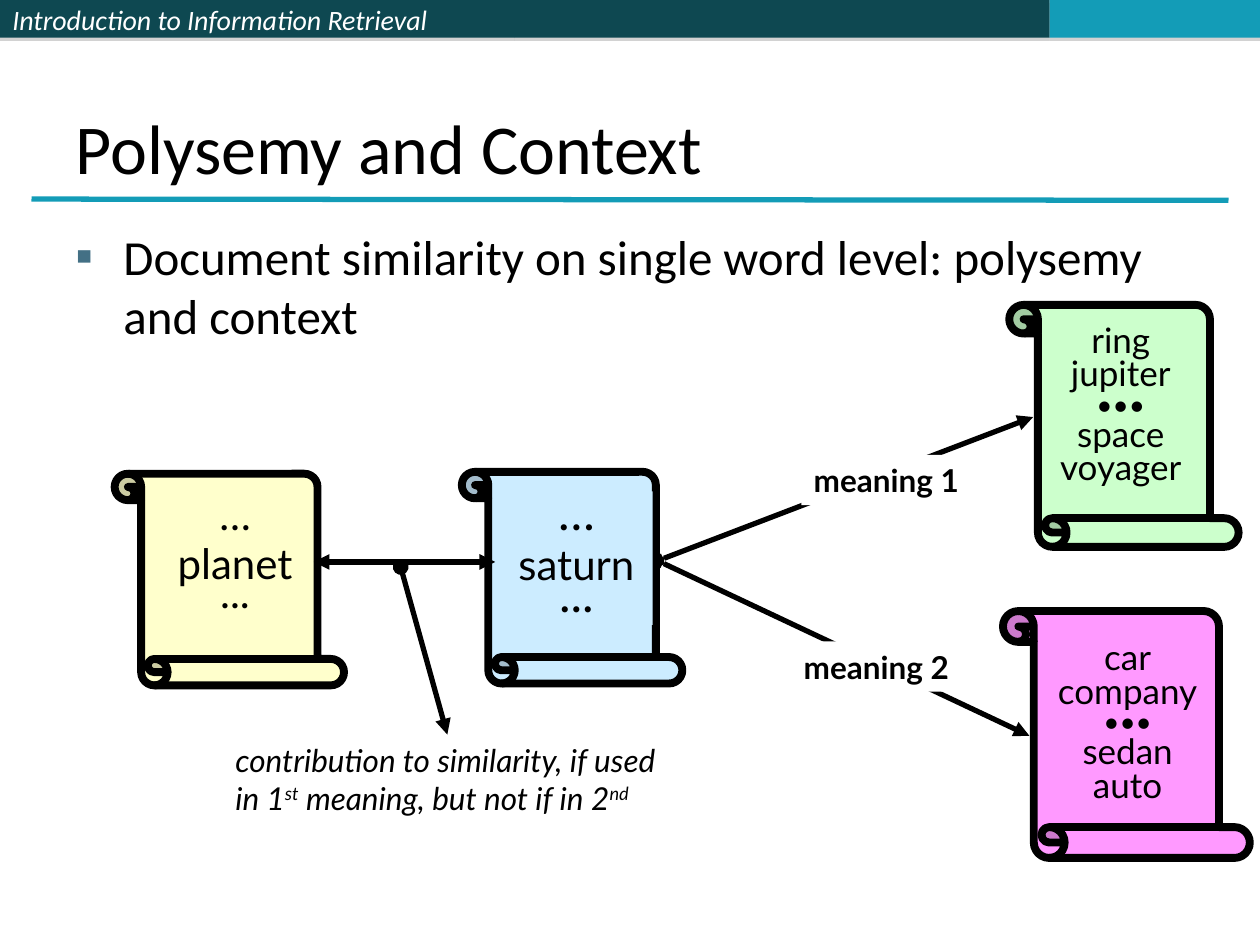
from pptx import Presentation
from pptx.dml.color import RGBColor
from pptx.enum.shapes import MSO_CONNECTOR as Conn, MSO_SHAPE as Shape
from pptx.enum.text import MSO_ANCHOR as Anchor, PP_ALIGN as Align
from pptx.oxml import parse_xml
from pptx.oxml.ns import nsdecls
from pptx.util import Inches, Pt


def color(value):
    """Turn a hex string into a colour."""
    return RGBColor.from_string(value)


def add_xml(parent, xml):
    """Append a DrawingML element to the parent."""
    tag, rest = xml[1:].split(" ", 1)
    parent.append(parse_xml(f"<a:{tag} {nsdecls('a')} {rest}"))


def style_run(r, size, font="Lato", fill="000000", bold=False, italic=False):
    """Format one run."""
    r.font.size, r.font.name = Pt(size), font
    r.font.bold, r.font.italic = bold, italic
    r.font.color.rgb = color(fill)


def add_rect(s, box, fill):
    """Add a plain filled rectangle."""
    sp = s.shapes.add_shape(Shape.RECTANGLE, *map(Inches, box))
    sp.shadow.inherit = False
    sp.fill.solid()
    sp.fill.fore_color.rgb = color(fill)
    sp.line.fill.background()
    return sp


def add_line(s, start, end, head=None, tail=None, fill="000000"):
    """Add a straight line with optional ends."""
    c = s.shapes.add_connector(Conn.STRAIGHT, *map(Inches, start + end))
    c.line.color.rgb = color(fill)
    c.line.width = Pt(3)
    for tag, kind in (("headEnd", head), ("tailEnd", tail)):
        if kind:
            add_xml(c.line._get_or_add_ln(), f'<{tag} type="{kind}"/>')
    add_xml(c._element.spPr, "<effectLst />")


def add_words(s, box, lines, fill=None):
    """Stack centred lines given as text, size and line spacing."""
    sp = add_rect(s, box, fill) if fill else s.shapes.add_textbox(*map(Inches, box))
    tf = sp.text_frame
    tf.word_wrap = False
    tf.vertical_anchor = Anchor.TOP
    tf.text = "\n".join(text for text, _, _ in lines)
    for p, (_, size, spacing) in zip(tf.paragraphs, lines):
        p.alignment, p.line_spacing = Align.CENTER, spacing
        style_run(p.runs[0], size)


def add_scroll(s, box, fill):
    """Add an upright scroll."""
    sp = s.shapes.add_shape(Shape.HORIZONTAL_SCROLL, *map(Inches, box))
    sp.shadow.inherit = False
    sp.rotation = 90
    for flip in ("flipH", "flipV"):
        sp._element.spPr.xfrm.set(flip, "1")
    sp.fill.solid()
    sp.fill.fore_color.rgb = color(fill)
    sp.line.color.rgb = color("000000")
    sp.line.width = Pt(4.5)


def add_header(s, box):
    """Add the top bar with the course name."""
    x, y, w, h = box
    widths = (0.408 * w, 0.425 * w, 0.167 * w)
    for i, (width, fill) in enumerate(zip(widths, ("0E4851", "0E4851", "139CB7"))):
        sp = add_rect(s, (x + sum(widths[:i]), y, width, h), fill)
        sp._element.spPr.remove(sp._element.spPr.find(
            "{http://schemas.openxmlformats.org/drawingml/2006/main}effectLst"))
        add_xml(sp._element.spPr,
                '<effectLst ><a:outerShdw dist="22860" dir="5400000" rotWithShape="0">'
                '<a:srgbClr val="808080"><a:alpha val="35000"/></a:srgbClr>'
                '</a:outerShdw></a:effectLst>')
        if i == 0:
            tf = sp.text_frame
            tf.text = "Introduction to Information Retrieval"
            tf.vertical_anchor = Anchor.MIDDLE
            tf.paragraphs[0].alignment = Align.LEFT
            style_run(tf.paragraphs[0].runs[0], 16, "Calibri", "FFFFFF", italic=True)


def fill_placeholder(sp, box, text, size, anchor):
    """Place a placeholder and set its text."""
    sp.left, sp.top, sp.width, sp.height = map(Inches, box)
    tf = sp.text_frame
    tf.text = text
    tf.vertical_anchor = anchor
    p = tf.paragraphs[0]
    p.alignment, p.space_before = Align.LEFT, Pt(0)
    style_run(p.runs[0], size, "Calibri")
    return p


def add_heading(s, box):
    """Fill the title and rule it off."""
    x, y, w, h = box
    fill_placeholder(s.shapes.title, box, "Polysemy and Context", 40, Anchor.BOTTOM)
    add_line(s, (x - 0.25, y + h + 0.03), (x + w + 0.25, y + h + 0.04), fill="139CB7")


def add_body(s, box):
    """Fill the bulleted body."""
    p = fill_placeholder(
        s.placeholders[1], box,
        "Document similarity on single word level: polysemy and context", 28, Anchor.TOP)
    pPr = p._p.get_or_add_pPr()
    pPr.set("marL", str(Inches(0.38)))
    pPr.set("indent", str(Inches(-0.38)))
    add_xml(pPr, '<buClr ><a:srgbClr val="437085"/></a:buClr>')
    add_xml(pPr, '<buFont typeface="Calibri"/>')
    add_xml(pPr, '<buChar char="▪"/>')


def add_meaning(s, box, fill, words_box, words, arrow, label, label_at):
    """Add one meaning: its scroll, arrow and label."""
    add_scroll(s, box, fill)
    x, y = box[:2]
    dx, dy, w, h = words_box
    add_words(s, (x + dx, y + dy, w, h),
              [(word, 16 if word == "•••" else 20, 0.8) for word in words])
    add_line(s, (5.22, 4.45), arrow, "diamond", "triangle")
    sp = add_rect(s, label_at + (1.51, 0.4), "FFFFFF")
    tf = sp.text_frame
    tf.word_wrap = False
    tf.text = label
    tf.paragraphs[0].alignment = Align.LEFT
    style_run(tf.paragraphs[0].runs[0], 18, bold=True)


def add_term(s, box, fill, words_box, word, dot_size, words_fill=None):
    """Add a document scroll holding one term."""
    add_scroll(s, box, fill)
    x, y = box[:2]
    dx, dy, w, h = words_box
    add_words(s, (x + dx, y + dy, w, h),
              [("…", dot_size, 0.7), (word, 24, 1.0), ("...", dot_size, 0.5)], words_fill)


def add_remark(s, box):
    """Add the remark on similarity and its pointer."""
    x, y, w, h = box
    tf = s.shapes.add_textbox(*map(Inches, box)).text_frame
    tf.word_wrap = True
    parts = ("contribution to similarity, if used in 1", "st",
             " meaning, but not if in 2", "nd")
    for i, text in enumerate(parts):
        r = tf.paragraphs[0].add_run()
        r.text = text
        style_run(r, 18, italic=True)
        if i % 2:
            r.font._element.set("baseline", "30000")
    add_line(s, (x + w / 2, y), (x + 1.41, y - 1.33), "triangle", "oval")


def main():
    """Build and save the slide."""
    prs = Presentation()
    prs.slide_width, prs.slide_height = Inches(10), Inches(7.5)
    s = prs.slides.add_slide(prs.slide_layouts[1])
    add_header(s, (0, 0, 10, 0.3))
    add_heading(s, (0.5, 0.3, 9, 1.25))
    add_body(s, (0.5, 1.75, 9, 5.42))
    add_meaning(s, (7.96, 4.85, 1.96, 1.96), "FF99FF", (0.29, 0.21, 1.4, 1.38),
                ("car", "company", "•••", "sedan", "auto"),
                (8.17, 5.84), "meaning 2", (6.28, 5.09))
    add_meaning(s, (7.96, 2.47, 1.92, 1.82), "CCFFCC", (0.31, 0.07, 1.25, 1.38),
                ("ring", "jupiter", "•••", "space", "voyager"),
                (8.2, 3.31), "meaning 1", (6.36, 3.61))
    add_term(s, (3.7, 3.71, 1.68, 1.75), "CCECFF", (0.27, 0.19, 1.21, 1.06),
             "saturn", 28, "CCECFF")
    add_term(s, (0.98, 3.69, 1.68, 1.82), "FFFFCC", (0.29, 0.25, 1.19, 0.98),
             "planet", 24)
    add_line(s, (2.49, 4.46), (3.93, 4.46), "triangle", "triangle")
    add_remark(s, (1.77, 5.83, 3.56, 1))
    prs.save("out.pptx")


if __name__ == "__main__":
    main()
